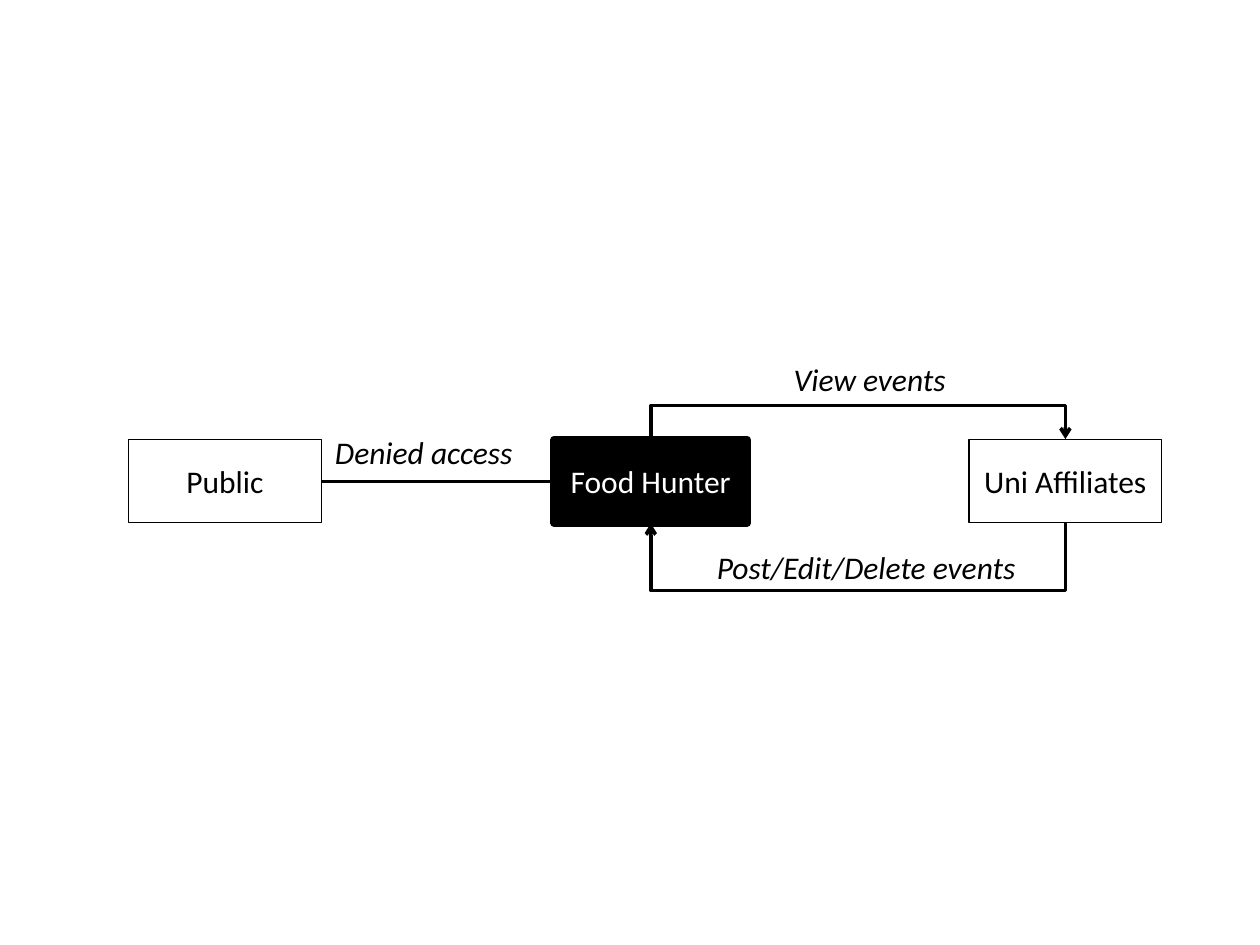
from lxml import etree
from pptx import Presentation
from pptx.dml.color import RGBColor
from pptx.enum.shapes import MSO_CONNECTOR as CONN, MSO_SHAPE as SHAPE
from pptx.enum.text import MSO_ANCHOR as ANCHOR, MSO_AUTO_SIZE as AUTO, PP_ALIGN as ALIGN
from pptx.oxml.ns import qn
from pptx.util import Inches, Pt

BLACK = RGBColor(0, 0, 0)
WHITE = RGBColor(255, 255, 255)
TOP, LEFT, BOTTOM, RIGHT = range(4)
BOX_W, BOX_H, BOX_TOP = 1.53, 0.66, 3.49


def write(tf, text, color=BLACK, italic=False, align=ALIGN.LEFT):
    p = tf.paragraphs[0]
    p.alignment = align
    r = p.add_run()
    r.text = text
    r.font.name = "Calibri"
    r.font.size = Pt(18)
    r.font.italic = italic
    r.font.color.rgb = color


class Diagram:
    def __init__(self, s):
        self.s = s

    def box(self, text, x, filled=False):
        sp = self.s.shapes.add_shape(SHAPE.RECTANGLE, Inches(x), Inches(BOX_TOP),
                                     Inches(BOX_W), Inches(BOX_H))
        sp.shadow.inherit = False
        if filled:
            sp.fill.solid()
            sp.fill.fore_color.rgb = BLACK
        else:
            sp.fill.background()
        sp.line.color.rgb = BLACK
        sp.line.width = Pt(4.5 if filled else 0.75)
        tf = sp.text_frame
        tf.word_wrap = True
        tf.margin_left = tf.margin_right = Inches(0.05)
        tf.vertical_anchor = ANCHOR.MIDDLE
        write(tf, text, WHITE if filled else BLACK, align=ALIGN.CENTER)
        return sp

    def label(self, text, x, y, w):
        sp = self.s.shapes.add_textbox(Inches(x), Inches(y), Inches(w), Inches(0.4))
        tf = sp.text_frame
        tf.word_wrap = False
        tf.auto_size = AUTO.SHAPE_TO_FIT_TEXT
        write(tf, text, italic=True)

    def link(self, start, start_side, end, end_side, kind=CONN.STRAIGHT):
        c = self.s.shapes.add_connector(kind, 0, 0, 0, 0)
        c.begin_connect(start, start_side)
        c.end_connect(end, end_side)
        c.line.color.rgb = BLACK
        c.line.width = Pt(2)
        etree.SubElement(c._element.spPr, qn("a:effectLst"))
        return c

    def loop(self, start, end, side, reach):
        """Arrow that leaves and enters on the same side, bending out by reach."""
        c = self.link(start, side, end, side, CONN.ELBOW)
        span = abs(end.left - start.left)
        mid_x = (start.left + end.left + start.width) // 2
        y = start.top + (start.height if side == BOTTOM else 0)
        # A U-shaped elbow is a thin box turned by 90 degrees
        thin = Inches(0.01)
        c.left, c.top = mid_x - thin // 2, y - span // 2
        c.width, c.height = thin, span
        spPr = c._element.spPr
        flip = "1" if side == TOP else "0"
        xfrm = spPr.find(qn("a:xfrm"))
        for name, value in (("rot", "5400000"), ("flipH", flip), ("flipV", flip)):
            xfrm.set(name, value)
        guides = spPr.find(qn("a:prstGeom")).get_or_add_avLst()
        etree.SubElement(guides, qn("a:gd"), name="adj1",
                         fmla=f"val {round(Inches(reach) / thin * 100000)}")
        etree.SubElement(spPr.find(qn("a:ln")), qn("a:tailEnd"), type="arrow")


def main():
    prs = Presentation()
    prs.slide_width, prs.slide_height = Inches(10), Inches(7.5)
    d = Diagram(prs.slides.add_slide(prs.slide_layouts[6]))

    # Parties
    hunter = d.box("Food Hunter", 4.4, filled=True)
    affiliates = d.box("Uni Affiliates", 7.69)
    public = d.box("Public", 1.02)

    # Public has no access
    d.link(hunter, LEFT, public, RIGHT)
    d.label("Denied access", 2.56, 3.39, 1.69)

    # Affiliates view and change events
    d.loop(hunter, affiliates, TOP, 0.28)
    d.label("View events", 6.2, 2.81, 1.49)
    d.loop(affiliates, hunter, BOTTOM, 0.55)
    d.label("Post/Edit/Delete events", 5.59, 4.3, 2.68)

    prs.save("out.pptx")


if __name__ == "__main__":
    main()
